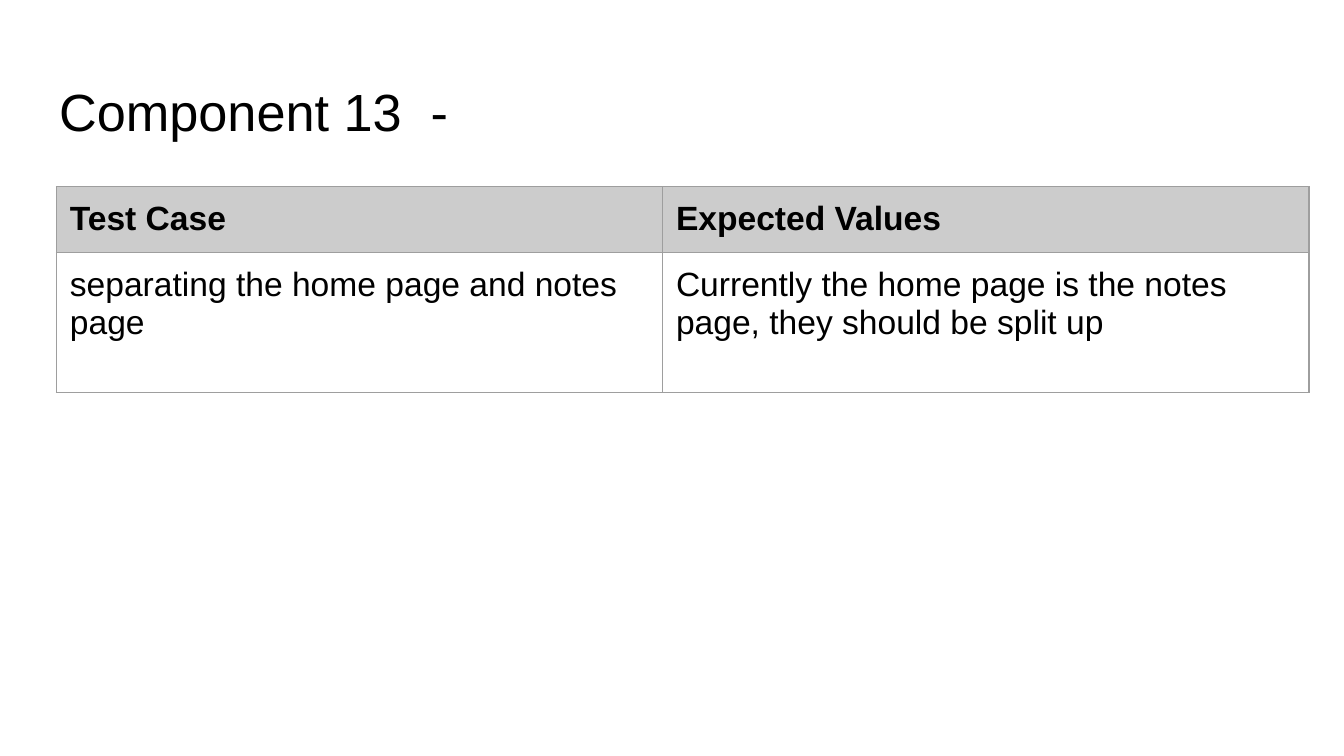
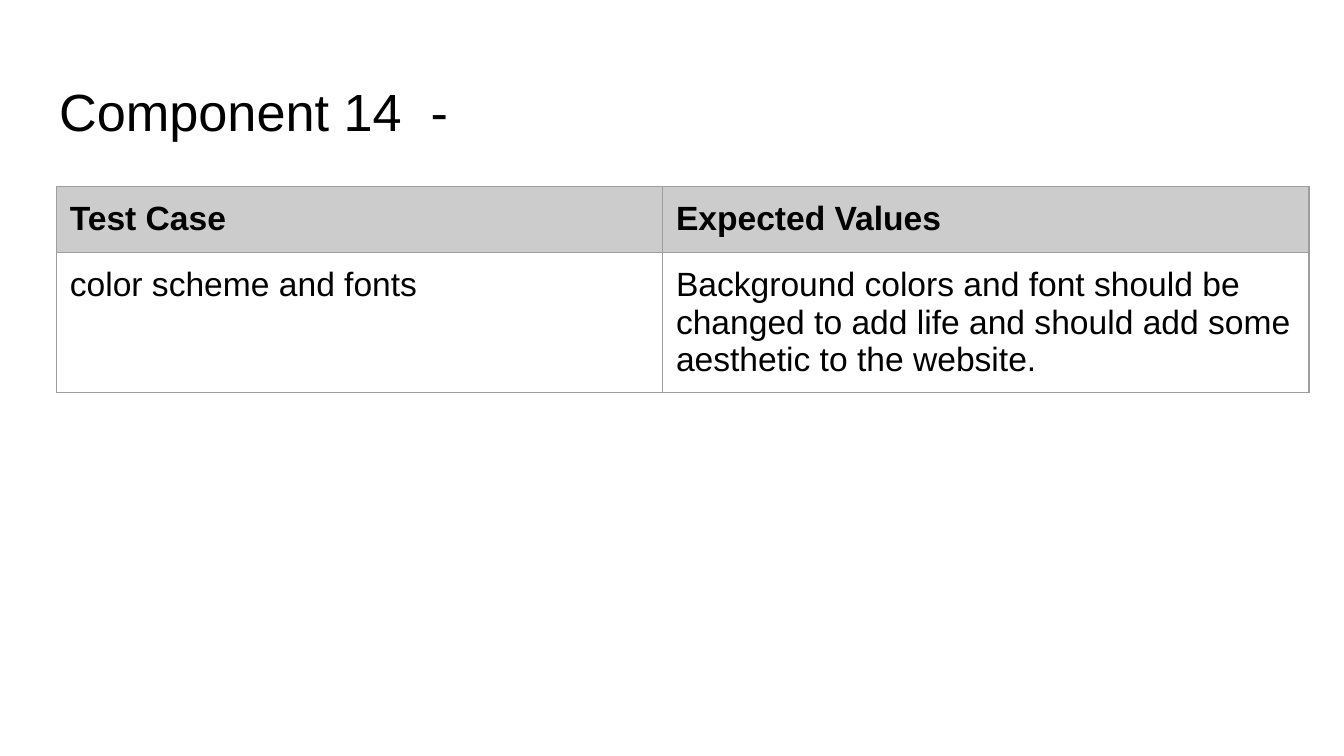
import pptx
import pptx.dml.color
import pptx.enum.text
import pptx.oxml
import pptx.oxml.ns
import pptx.util
from dataclasses import dataclass

Inches, Pt = pptx.util.Inches, pptx.util.Pt


@dataclass(frozen=True)
class Theme:
    font: str = "Arial"
    ink: str = "000000"
    head: str = "CCCCCC"
    rule: str = "9E9E9E"
    title: int = 28
    text: int = 18
    pad: float = 0.1


THEME = Theme()
HEADS = ("Test Case", "Expected Values")
COLS = (4.51, 4.81)
ROWS = (0.49, 1.04)
CASES = (
    ("Component 13  - ", "separating the home page and notes page",
     "Currently the home page is the notes page, they should be split up"),
    ("Component 14  - ", "color scheme and fonts",
     "Background colors and font should be changed to add life and should add "
     "some aesthetic to the website."),
)


def tint(hue):
    return pptx.dml.color.RGBColor.from_string(hue)


def style(para, size, bold=False):
    para.alignment = pptx.enum.text.PP_ALIGN.LEFT
    font = para.font
    font.name, font.size, font.bold = THEME.font, Pt(size), bold
    font.color.rgb = tint(THEME.ink)


def inset(box):
    box.margin_left = box.margin_right = Inches(THEME.pad)
    box.margin_top = box.margin_bottom = Inches(THEME.pad)
    box.vertical_anchor = pptx.enum.text.MSO_ANCHOR.TOP


def frame(cell):
    """Rule all four sides of a cell."""
    props = cell._tc.get_or_add_tcPr()
    for side in "LRTB":
        props.append(pptx.oxml.parse_xml(
            f'<a:ln{side} {pptx.oxml.ns.nsdecls("a")} w="{Pt(0.75)}">'
            f'<a:solidFill><a:srgbClr val="{THEME.rule}"/></a:solidFill>'
            f'</a:ln{side}>'))


def add_title(slide, text):
    title = slide.shapes.title
    title.left, title.top = Inches(0.34), Inches(0.49)
    title.width, title.height = Inches(9.32), Inches(0.63)
    box = title.text_frame
    box.text = text
    box.word_wrap = True
    box.auto_size = pptx.enum.text.MSO_AUTO_SIZE.NONE
    inset(box)
    style(box.paragraphs[0], THEME.title)


def add_grid(slide, rows):
    grid = slide.shapes.add_table(
        len(rows), len(COLS), Inches(0.42), Inches(1.39),
        Inches(sum(COLS)), Inches(sum(ROWS))).table
    grid.first_row = grid.horz_banding = False
    for col, width in zip(grid.columns, COLS):
        col.width = Inches(width)
    for y, texts in enumerate(rows):
        grid.rows[y].height = Inches(ROWS[y])
        for x, text in enumerate(texts):
            cell = grid.cell(y, x)
            cell.text = text
            inset(cell)
            frame(cell)
            style(cell.text_frame.paragraphs[0], THEME.text, bold=y == 0)
            if y == 0:
                cell.fill.solid()
                cell.fill.fore_color.rgb = tint(THEME.head)
            else:
                cell.fill.background()


def main():
    deck = pptx.Presentation()
    # Widescreen, 16 to 9
    deck.slide_width = Inches(10)
    deck.slide_height = Inches(10) * 9 // 16
    # One slide per component: title above its test table
    for name, case, goal in CASES:
        slide = deck.slides.add_slide(deck.slide_layouts[5])
        add_title(slide, name)
        add_grid(slide, (HEADS, (case, goal)))
    deck.save("out.pptx")


if __name__ == "__main__":
    main()
